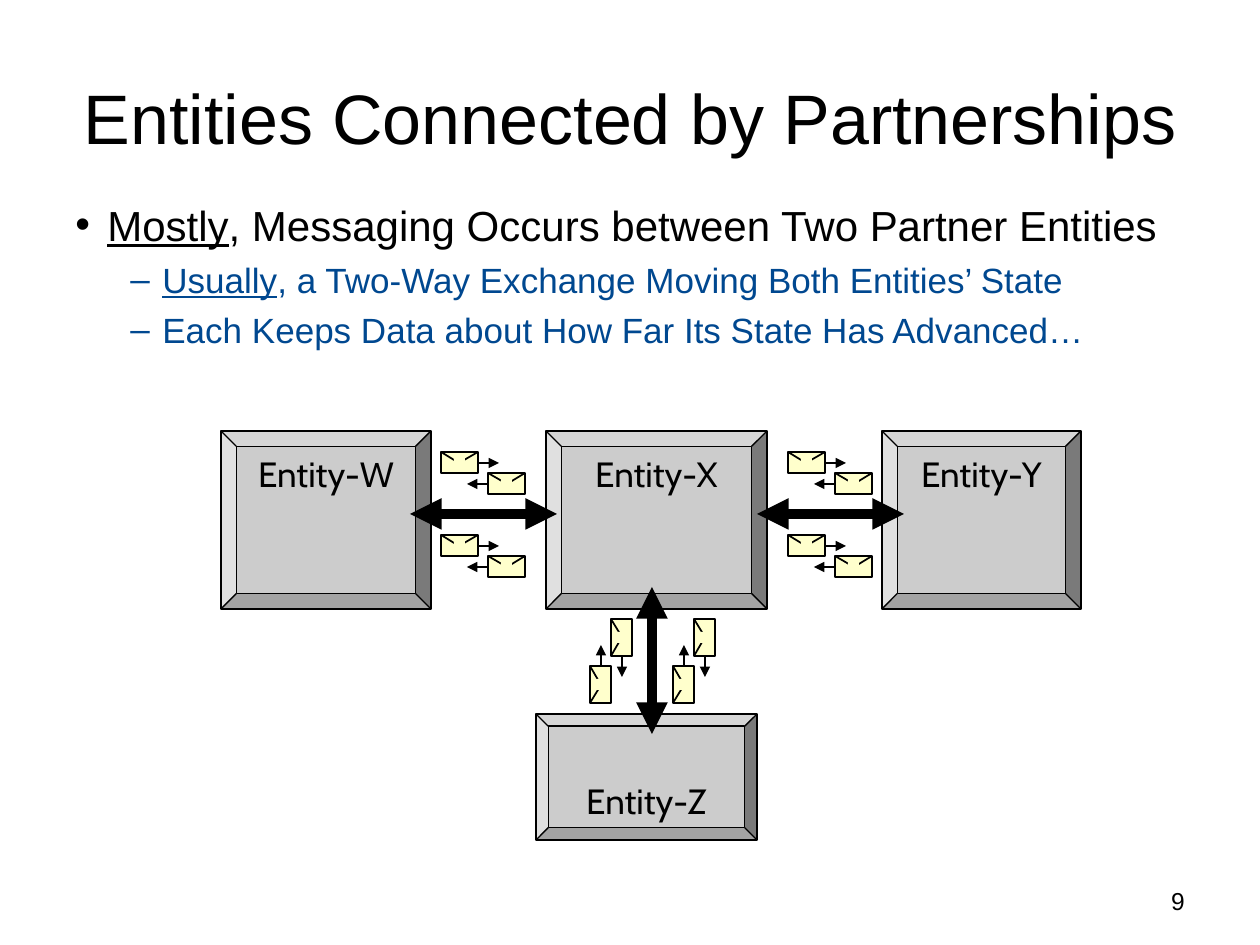
from lxml.etree import SubElement
from pptx import Presentation
from pptx.dml.color import RGBColor
from pptx.enum.shapes import MSO_CONNECTOR, MSO_SHAPE
from pptx.enum.text import MSO_ANCHOR, MSO_AUTO_SIZE, PP_ALIGN
from pptx.oxml.ns import qn
from pptx.util import Emu, Pt

PX_PER_INCH = 126
COLORS = {"black": "000000", "navy": "004890", "box": "CCCCCC", "paper": "FFFFCC"}
BULLETS = {
    "main": {"char": "•", "size": 24, "color": "black", "left": 32, "before": 0},
    "sub": {"char": "–", "size": 20, "color": "navy", "left": 87, "before": 5},
}
RIGHT, UP = (1, 0), (0, -1)


def px(value):
    return Emu(round(value * 914400 / PX_PER_INCH))


def rgb(name):
    return RGBColor.from_string(COLORS[name])


class Deck:
    def __init__(self, width, height):
        self.prs = Presentation()
        self.prs.slide_width, self.prs.slide_height = px(width), px(height)
        self.slide = None

    def add_slide(self):
        self.slide = self.prs.slides.add_slide(self.prs.slide_layouts[5])

    def styled_run(self, p, text, size, color="black", font="Arial", underline=None):
        r = p.add_run()
        r.text = text
        r.font.color.rgb = rgb(color)
        style = {"size": Pt(size), "name": font, "underline": underline}
        for name, value in style.items():
            setattr(r.font, name, value)

    def title(self, text, x, y, w, h):
        sp = self.slide.shapes.title
        place = {"left": x, "top": y, "width": w, "height": h}
        for name, value in place.items():
            setattr(sp, name, px(value))
        tf = sp.text_frame
        tf.auto_size, tf.vertical_anchor = MSO_AUTO_SIZE.NONE, MSO_ANCHOR.MIDDLE
        tf.paragraphs[0].alignment = PP_ALIGN.CENTER
        self.styled_run(tf.paragraphs[0], text, 40)

    def text_box(self, x, y, w, h):
        tf = self.slide.shapes.add_textbox(px(x), px(y), px(w), px(h)).text_frame
        tf.word_wrap = True
        return tf

    def bullets(self, items, x, y, w, h):
        """Add (level, underlined opening, rest) items as a bulleted list."""
        tf = self.text_box(x, y, w, h)
        tf.margin_top = px(10)
        for i, (level, opening, rest) in enumerate(items):
            look = BULLETS[level]
            p = tf.add_paragraph() if i else tf.paragraphs[0]
            p.level = 0 if level == "main" else 1
            p.space_before = Pt(look["before"])
            pPr = p._p.get_or_add_pPr()
            pPr.set("marL", str(px(look["left"])))
            pPr.set("indent", str(-px(32)))
            SubElement(pPr, qn("a:buFont"), typeface="Arial")
            SubElement(pPr, qn("a:buChar"), char=look["char"])
            if opening:
                self.styled_run(p, opening, look["size"], look["color"], underline=True)
            self.styled_run(p, rest, look["size"], look["color"])

    def page_number(self, text, x, y, w, h):
        p = self.text_box(x, y, w, h).paragraphs[0]
        p.alignment = PP_ALIGN.RIGHT
        self.styled_run(p, text, 14)

    def shape(self, kind, x, y, w, h, fill, line=None):
        sp = self.slide.shapes.add_shape(kind, px(x), px(y), px(w), px(h))
        sp.shadow.inherit = False
        sp.fill.solid()
        sp.fill.fore_color.rgb = rgb(fill)
        if line:
            sp.line.color.rgb = rgb("black")
            sp.line.width = Pt(line)
        else:
            sp.line.fill.background()
        return sp

    def line(self, start, end, width, heads=()):
        c = self.slide.shapes.add_connector(
            MSO_CONNECTOR.STRAIGHT, *(px(v) for v in (*start, *end)))
        c.line.color.rgb = rgb("black")
        c.line.width = Pt(width)
        spPr = c._element.spPr
        for head in heads:
            SubElement(spPr.find(qn("a:ln")), qn(f"a:{head}"), type="triangle")
        SubElement(spPr, qn("a:effectLst"))

    def entity(self, name, x, y, w, h, bevel=0.086, anchor=MSO_ANCHOR.TOP):
        sp = self.shape(MSO_SHAPE.BEVEL, x, y, w, h, "box", 0.75)
        sp.adjustments[0] = bevel
        tf = sp.text_frame
        tf.word_wrap, tf.vertical_anchor = False, anchor
        tf.paragraphs[0].alignment = PP_ALIGN.CENTER
        self.styled_run(tf.paragraphs[0], name, 20, font="Cabin")

    def message(self, origin, direction):
        """Draw an envelope with an arrow leaving it in the given direction."""
        def at(along, across):
            return step(origin, direction, along, across)

        def paper(near, far, line=None):
            (x1, y1), (x2, y2) = at(*near), at(*far)
            self.shape(MSO_SHAPE.RECTANGLE, min(x1, x2), min(y1, y2),
                       abs(x2 - x1), abs(y2 - y1), "paper", line)

        self.line(at(16, 11), at(58, 11), 0.75, ["tailEnd"])
        paper((0, 0), (37, 21), 1)
        for corner in (0, 37):
            self.line(at(corner, 0), at(18, 11), 1)
        paper((13, 5), (24, 15))

    def partnership(self, origin, direction):
        """Draw two lanes of two-way messages beside a heavy double arrow."""
        back = tuple(-d for d in direction)
        for lane in (0, 83):
            self.message(step(origin, direction, 0, lane), direction)
            self.message(step(origin, direction, 84, lane + 21), back)
        self.line(step(origin, direction, -31, 62), step(origin, direction, 116, 62),
                  6, ["headEnd", "tailEnd"])


def step(origin, direction, along, across):
    """Move along a direction, and across it to the right or downwards."""
    (x, y), (dx, dy) = origin, direction
    return x + dx * along + abs(dy) * across, y + dy * along + abs(dx) * across


def main():
    s = Deck(1260, 945)
    s.add_slide()
    s.title("Entities Connected by Partnerships", 63, 38, 1134, 157)
    s.bullets([
        ("main", "Mostly", ", Messaging Occurs between Two Partner Entities"),
        ("sub", "Usually", ", a Two-Way Exchange Moving Both Entities’ State"),
        ("sub", "", "Each Keeps Data about How Far Its State Has Advanced…"),
    ], 63, 189, 1134, 624)
    for name, x, w in (("Entity-Y", 882, 199), ("Entity-X", 546, 221),
                       ("Entity-W", 221, 210)):
        s.entity(name, x, 431, w, 178)
    s.entity("Entity-Z", 536, 714, 221, 126, 0.097, MSO_ANCHOR.BOTTOM)
    for origin, direction in (((441, 452), RIGHT), ((788, 452), RIGHT),
                              ((590, 703), UP)):
        s.partnership(origin, direction)
    s.page_number("9", 903, 880, 294, 65)
    s.prs.save("out.pptx")


if __name__ == "__main__":
    main()
